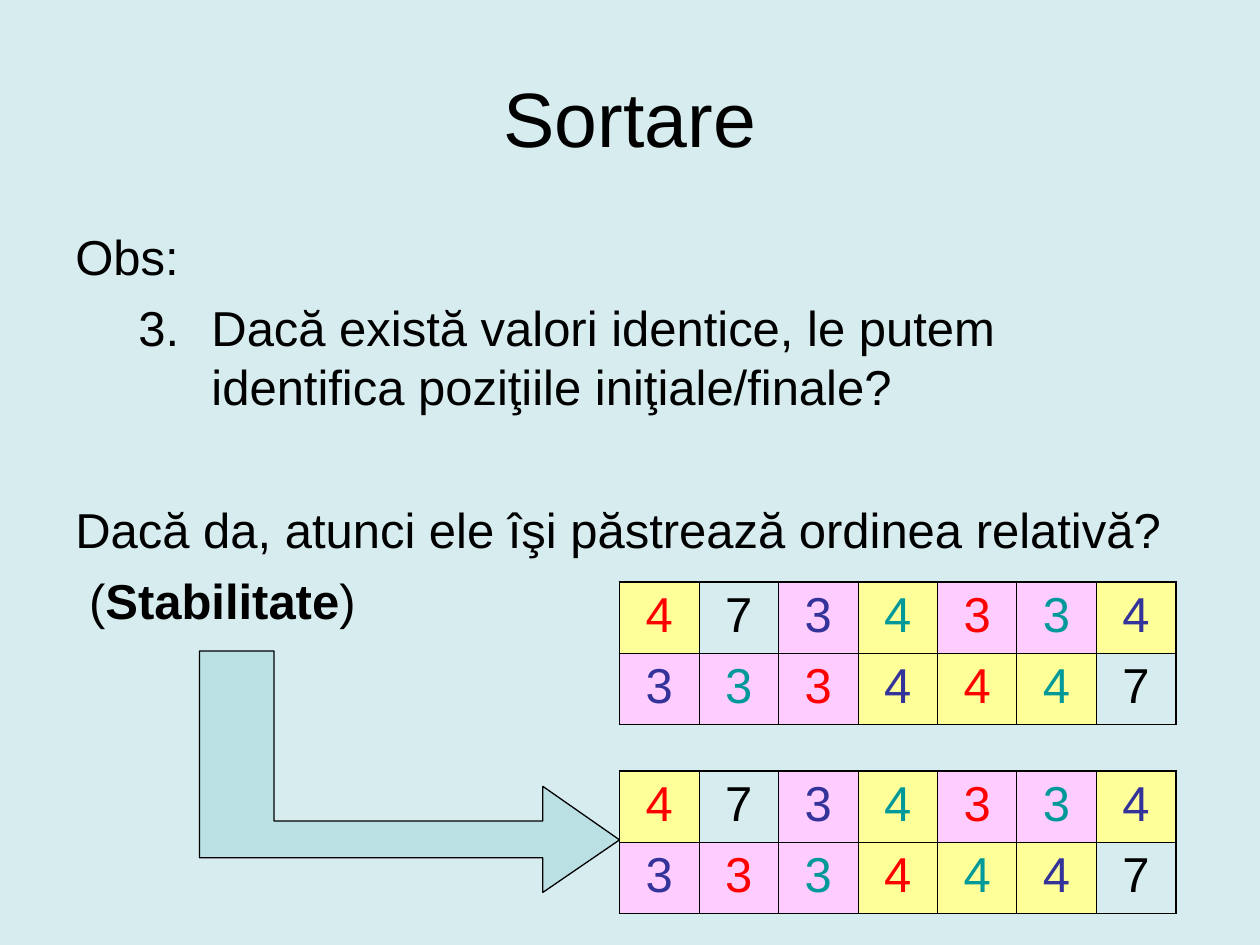
from lxml.etree import SubElement as Sub
from pptx import Presentation
from pptx.dml.color import RGBColor as RGB
from pptx.enum.text import MSO_ANCHOR as Anchor, PP_ALIGN as Align
from pptx.oxml.ns import qn
from pptx.util import Emu, Inches, Pt

HEX = {
    "back": "D6ECEE", "arrow": "BBE0E3", "black": "000000",
    "red": "FF0000", "blue": "333399", "teal": "009999",
    "4": "FFFF99", "3": "FFCCFF",
}
INK = {"r": "red", "b": "blue", "t": "teal", "k": "black"}
WIDE, HIGH = Inches(10), Inches(7.5)
COLS, ROWS = 120, 90
START = "4r 7k 3b 4t 3r 3t 4b"
STABLE = "3b 3r 3t 4r 4t 4b 7k"
MIXED = "3b 3t 3r 4b 4r 4t 7k"


def hue(name):
    """Return a named colour."""
    return RGB.from_string(HEX[name])


def spot(col, row):
    """Turn a grid column and row into slide lengths."""
    return Emu(round(WIDE * col / COLS)), Emu(round(HIGH * row / ROWS))


def style(run, size, name="black", bold=False):
    """Set the font of a run."""
    font = run.font
    font.name, font.size, font.bold = "Arial", Pt(size), bold
    font.color.rgb = hue(name)


def add_box(slide, col, row, wide, high):
    """Add a wrapping text box and return its frame."""
    box = slide.shapes.add_textbox(*spot(col, row), *spot(wide, high))
    box.text_frame.word_wrap = True
    return box.text_frame


def add_title(slide, text):
    """Add the centred heading."""
    frame = add_box(slide, 6, 3.6, 108, 15)
    frame.vertical_anchor = Anchor.MIDDLE
    frame.text = text
    para = frame.paragraphs[0]
    para.alignment = Align.CENTER
    style(para.runs[0], 44)


def indent(para, left, hang=0.0):
    """Set the left margin and hanging indent of a paragraph."""
    props = para._p.get_or_add_pPr()
    props.set("marL", str(Inches(left)))
    props.set("indent", str(-Inches(hang)))
    return props


def add_body(slide):
    """Add the remarks with the numbered question."""
    frame = add_box(slide, 6, 21, 109, 59.4)
    frame.text = "\n".join([
        "Obs:",
        "Dacă există valori identice, le putem identifica poziţiile iniţiale/finale?",
        "Dacă da, atunci ele îşi păstrează ordinea relativă?",
        "(",
    ])
    head, item, ask, term = frame.paragraphs
    for part in ("Stabilitate", ")"):
        term.add_run().text = part
    for para, gap in ((item, 7), (ask, 48), (term, 7)):
        para.space_before = Pt(gap)
    num = Sub(indent(item, 1.08, 0.58), qn("a:buAutoNum"))
    num.set("type", "arabicPeriod")
    num.set("startAt", "3")
    indent(term, 0.11)
    for para in frame.paragraphs:
        for run in para.runs:
            style(run, 28, bold=run.text == "Stabilitate")


def add_edge(cell, side, width):
    """Draw one border of a cell."""
    line = Sub(cell._tc.get_or_add_tcPr(), qn(f"a:ln{side}"), w=str(Pt(width)))
    fill = Sub(line, qn("a:solidFill"))
    Sub(fill, qn("a:srgbClr"), val=HEX["black"])


def fill_cell(cell, code, outer):
    """Write a digit in its ink on the fill for its value."""
    digit, ink = code
    for side in "LRTB":
        add_edge(cell, side, 1.08 if side in outer else 0.45)
    if digit in HEX:
        cell.fill.solid()
        cell.fill.fore_color.rgb = hue(digit)
    else:
        cell.fill.background()
    cell.text_frame.text = digit
    para = cell.text_frame.paragraphs[0]
    para.alignment = Align.CENTER
    style(para.runs[0], 28, INK[ink])


def add_grid(slide, top, lines):
    """Add a table of coloured digits."""
    data = [line.split() for line in lines]
    rows, cols = len(data), len(data[0])
    table = slide.shapes.add_table(
        rows, cols, *spot(59, top), *spot(53, 13.6)).table
    table.first_row = table.horz_banding = False
    for r, line in enumerate(data):
        for c, code in enumerate(line):
            outer = {"L": c == 0, "R": c == cols - 1,
                     "T": r == 0, "B": r == rows - 1}
            fill_cell(table.cell(r, c), code, [s for s in outer if outer[s]])


def add_arrow(slide):
    """Draw the bent arrow that points to the lower table."""
    tip, neck, bend, left = 59, 51.7, 26.1, 19
    nodes = [
        (tip, 80), (neck, 74.9), (neck, 78.2), (bend, 78.2),
        (bend, 62), (left, 62), (left, 81.7), (neck, 81.7), (neck, 85),
    ]
    first, *rest = [spot(*node) for node in nodes]
    pen = slide.shapes.build_freeform(*first)
    pen.add_line_segments(rest, close=True)
    shape = pen.convert_to_shape()
    shape.shadow.inherit = False
    shape.fill.solid()
    shape.fill.fore_color.rgb = hue("arrow")
    shape.line.color.rgb = hue("black")
    shape.line.width = Pt(0.75)


def main():
    """Build and save the slide."""
    deck = Presentation()
    deck.slide_width, deck.slide_height = WIDE, HIGH
    slide = deck.slides.add_slide(deck.slide_layouts[6])
    slide.background.fill.solid()
    slide.background.fill.fore_color.rgb = hue("back")
    add_title(slide, "Sortare")
    add_body(slide)
    add_grid(slide, 55.4, [START, MIXED])
    add_grid(slide, 73.4, [START, STABLE])
    add_arrow(slide)
    deck.save("out.pptx")


if __name__ == "__main__":
    main()
